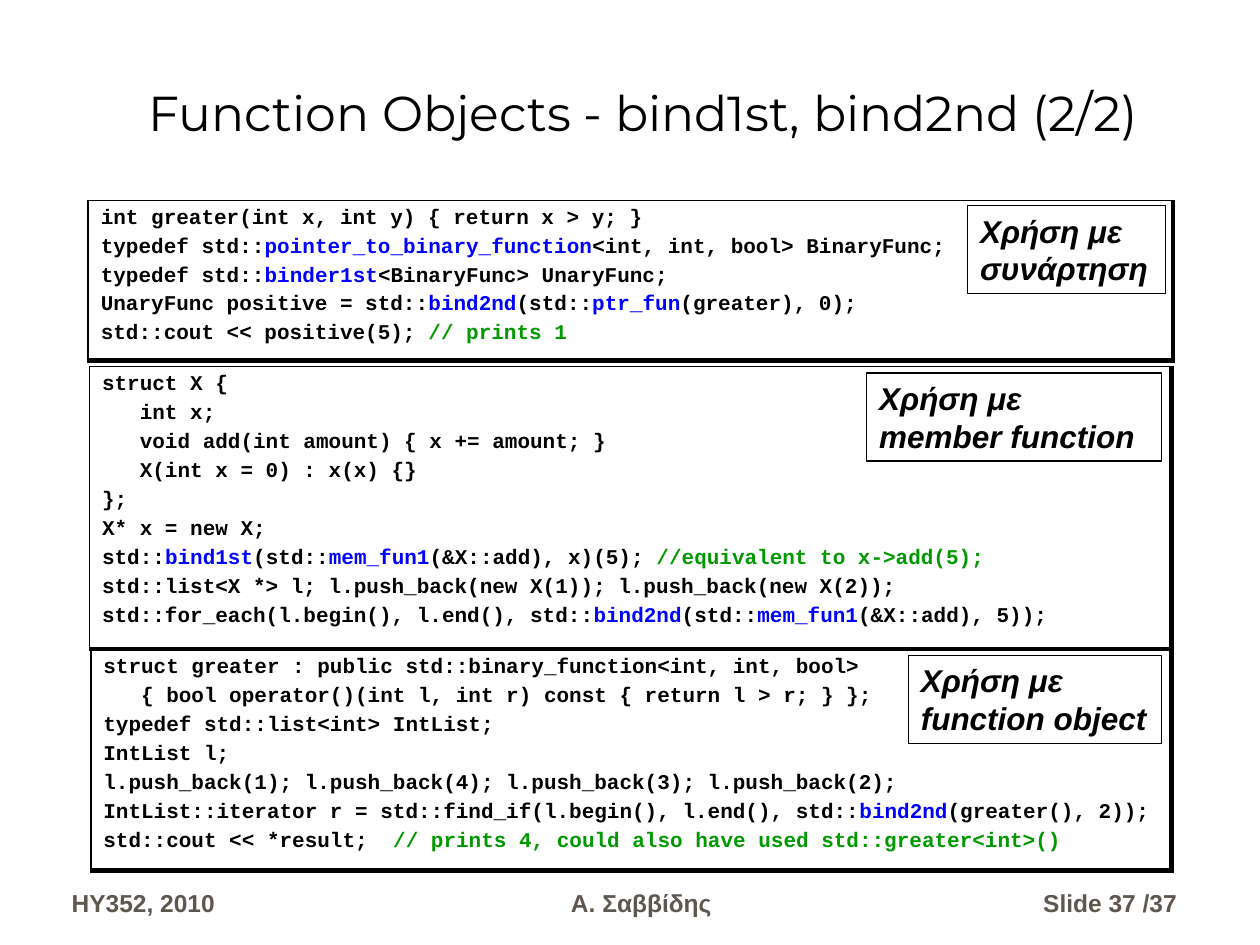
from dataclasses import dataclass

from lxml.etree import SubElement
from pptx import Presentation
from pptx.dml.color import RGBColor
from pptx.enum.shapes import MSO_SHAPE
from pptx.enum.text import MSO_ANCHOR as Anchor, PP_ALIGN as Align
from pptx.oxml.ns import qn
from pptx.util import Inches, Pt

COLUMNS, ROWS = 100, 75
CELL = Inches(0.1)


@dataclass(frozen=True)
class Theme:
    ink: str = "000000"
    paper: str = "FFFFFF"
    keyword: str = "0000FF"
    comment: str = "009900"
    footer: str = "5E574E"
    title_font: str = "Montserrat"
    code_font: str = "Courier New"
    label_font: str = "Arial"
    title_size: float = 28
    code_size: float = 12
    label_size: float = 18
    footer_size: float = 14
    thin_edge: float = 1.08
    thick_edge: float = 3
    label_edge: float = 0.75


THEME = Theme()

# Words between backticks are keywords; everything after // is a comment.
FUNCTION_CODE = """\
int greater(int x, int y) { return x > y; }
typedef std::`pointer_to_binary_function`<int, int, bool> BinaryFunc;
typedef std::`binder1st`<BinaryFunc> UnaryFunc;
UnaryFunc positive = std::`bind2nd`(std::`ptr_fun`(greater), 0);
std::cout << positive(5); // prints 1"""

MEMBER_CODE = """\
struct X {
   int x;
   void add(int amount) { x += amount; }
   X(int x = 0) : x(x) {}
};
X* x = new X;
std::`bind1st`(std::`mem_fun1`(&X::add), x)(5); //equivalent to x->add(5);
std::list<X *> l; l.push_back(new X(1)); l.push_back(new X(2));
std::for_each(l.begin(), l.end(), std::`bind2nd`(std::`mem_fun1`(&X::add), 5));"""

OBJECT_CODE = """\
struct greater : public std::binary_function<int, int, bool>
   { bool operator()(int l, int r) const { return l > r; } };
typedef std::list<int> IntList;
IntList l;
l.push_back(1); l.push_back(4); l.push_back(3); l.push_back(2);
IntList::iterator r = std::find_if(l.begin(), l.end(), std::`bind2nd`(greater(), 2));
std::cout << *result;  // prints 4, could also have used std::greater<int>()"""

# Code, panel area, second label line, label area; areas in grid cells.
EXAMPLES = [
    (FUNCTION_CODE, (7, 15.9, 86.1, 12.7), "συνάρτηση", (76.8, 16.3, 15.7, 7)),
    (MEMBER_CODE, (7.1, 29.1, 85.9, 22.4), "member function", (68.8, 29.6, 23.4, 7)),
    (OBJECT_CODE, (7.2, 51.6, 85.8, 17.5), "function object", (72.1, 52, 20.1, 7)),
]

FOOTERS = [
    ("HY352, 2010", (4.7, 68.3, 16.3, 5), Align.LEFT),
    ("Α. Σαββίδης", (21.8, 68.3, 58.2, 5), Align.CENTER),
    ("Slide 37 /37", (80.7, 68.3, 13.7, 5), Align.RIGHT),
]


def on_grid(area):
    """Turn left, top, width and height in grid cells into lengths."""
    return [round(cells * CELL) for cells in area]


def style_font(font, name, size, color, bold=False, italic=False):
    font.name, font.size = name, Pt(size)
    font.bold, font.italic = bold, italic
    font.color.rgb = RGBColor.from_string(color)


def add_title(page, text, area):
    title = page.shapes.title
    title.left, title.top, title.width, title.height = on_grid(area)
    frame = title.text_frame
    frame.text = text
    frame.vertical_anchor = Anchor.BOTTOM
    para = frame.paragraphs[0]
    para.alignment = Align.LEFT
    style_font(para.font, THEME.title_font, THEME.title_size, THEME.ink)


def set_border(cell, side, width):
    line = SubElement(cell._tc.get_or_add_tcPr(), qn(f"a:ln{side}"), w=str(Pt(width)))
    fill = SubElement(line, qn("a:solidFill"))
    SubElement(fill, qn("a:srgbClr"), val=THEME.ink)


def write_code_line(para, line):
    para.space_before = Pt(3)
    style_font(para.font, THEME.code_font, THEME.code_size, THEME.ink, bold=True)
    code, slashes, comment = line.partition("//")
    spans = [(text, THEME.keyword if index % 2 else THEME.ink)
             for index, text in enumerate(code.split("`"))]
    spans.append((slashes + comment, THEME.comment))
    for text, color in spans:
        if text:
            span = para.add_run()
            span.text = text
            span.font.color.rgb = RGBColor.from_string(color)


def add_code_panel(page, code, area):
    table = page.shapes.add_table(1, 1, *on_grid(area)).table
    table.first_row = table.horz_banding = False
    cell = table.cell(0, 0)
    for side in "LRTB":
        set_border(cell, side, THEME.thick_edge if side in "RB" else THEME.thin_edge)
    cell.fill.solid()
    cell.fill.fore_color.rgb = RGBColor.from_string(THEME.paper)
    frame = cell.text_frame
    for index, line in enumerate(code.splitlines()):
        para = frame.add_paragraph() if index else frame.paragraphs[0]
        write_code_line(para, line)


def add_label(page, lines, area):
    box = page.shapes.add_shape(MSO_SHAPE.RECTANGLE, *on_grid(area))
    box.shadow.inherit = False
    box.fill.background()
    box.line.color.rgb = RGBColor.from_string(THEME.ink)
    box.line.width = Pt(THEME.label_edge)
    frame = box.text_frame
    frame.word_wrap = True
    frame.vertical_anchor = Anchor.TOP
    para = frame.paragraphs[0]
    para.alignment = Align.LEFT
    style_font(para.font, THEME.label_font, THEME.label_size, THEME.ink,
               bold=True, italic=True)
    for index, line in enumerate(lines):
        if index:
            para.add_line_break()
        para.add_run().text = line


def add_footer(page, text, area, alignment):
    frame = page.shapes.add_textbox(*on_grid(area)).text_frame
    frame.word_wrap = True
    frame.vertical_anchor = Anchor.BOTTOM
    para = frame.paragraphs[0]
    para.text = text
    para.alignment = alignment
    para.space_before = Pt(8.8)
    style_font(para.font, THEME.label_font, THEME.footer_size, THEME.footer, bold=True)


def main():
    deck = Presentation()
    deck.slide_width, deck.slide_height = COLUMNS * CELL, ROWS * CELL
    title_only = deck.slide_layouts[5]
    page = deck.slides.add_slide(title_only)
    add_title(page, "Function Objects - bind1st, bind2nd (2/2)", (10.8, 1.7, 89.2, 10))
    for code, panel_area, usage, label_area in EXAMPLES:
        add_code_panel(page, code, panel_area)
        add_label(page, ("Χρήση με", usage), label_area)
    for text, area, alignment in FOOTERS:
        add_footer(page, text, area, alignment)
    deck.save("out.pptx")


if __name__ == "__main__":
    main()
